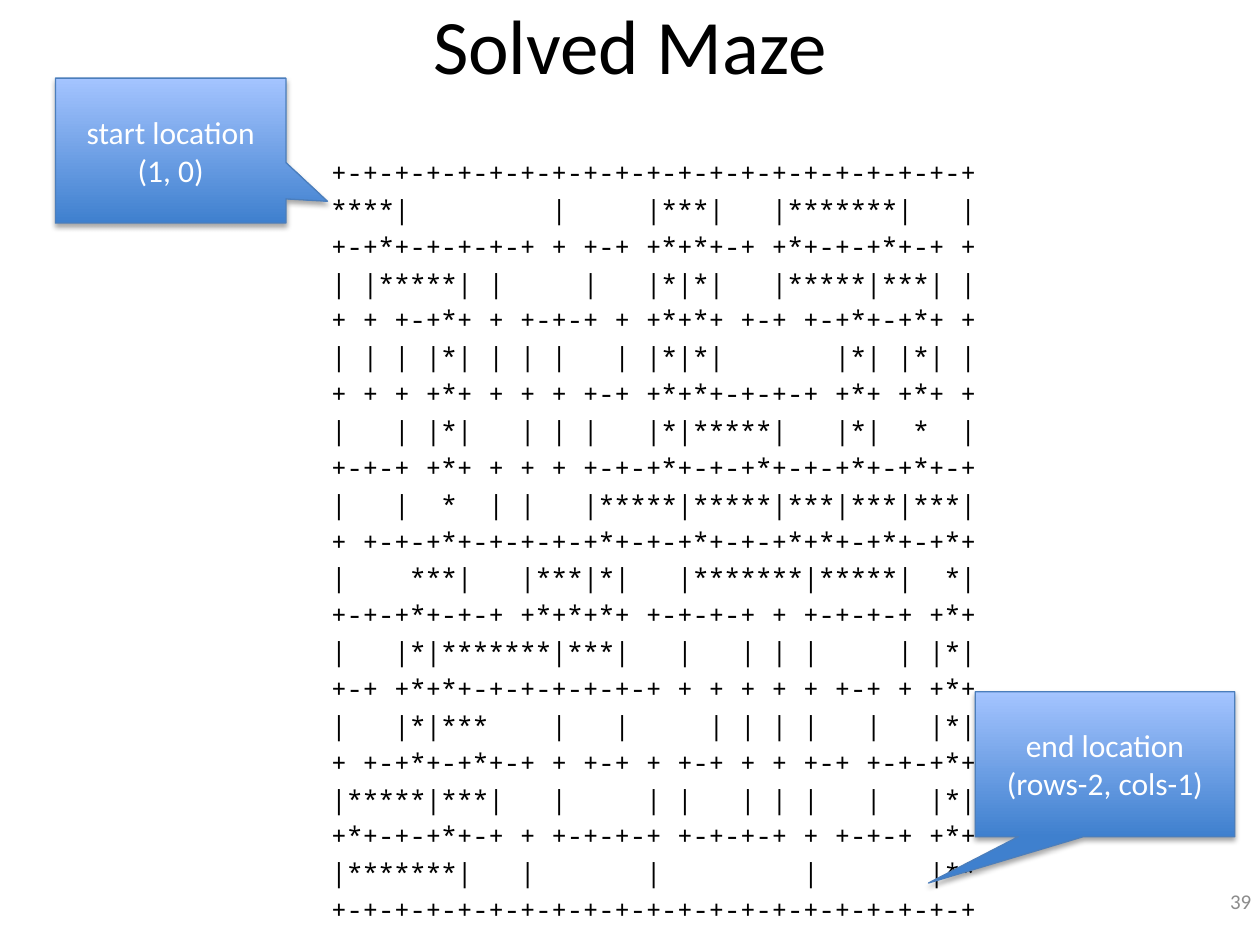
from dataclasses import dataclass

import lxml.etree
import pptx
import pptx.dml.color
import pptx.enum.shapes
import pptx.enum.text
import pptx.oxml.ns
import pptx.slide
import pptx.util

Pt = pptx.util.Pt
ALIGN = pptx.enum.text.PP_ALIGN
ANCHOR = pptx.enum.text.MSO_ANCHOR

COLORS = {
    "text": "000000",
    "number": "8C8C8C",
    "label": "FFFFFF",
    "bottom": "3F80CE",
    "top": "A4C4FF",
    "edge": "4B7EBC",
    "shadow": "000000",
}

BORDER = "+-" * 20 + "+"
MAZE = [
    BORDER,
    "****|         |     |***|   |*******|   |",
    "+-+*+-+-+-+-+ + +-+ +*+*+-+ +*+-+-+*+-+ +",
    "| |*****| |     |   |*|*|   |*****|***| |",
    "+ + +-+*+ + +-+-+ + +*+*+ +-+ +-+*+-+*+ +",
    "| | | |*| | | |   | |*|*|       |*| |*| |",
    "+ + + +*+ + + + +-+ +*+*+-+-+-+ +*+ +*+ +",
    "|   | |*|   | | |   |*|*****|   |*|  *  |",
    "+-+-+ +*+ + + + +-+-+*+-+-+*+-+-+*+-+*+-+",
    "|   |  *  | |   |*****|*****|***|***|***|",
    "+ +-+-+*+-+-+-+-+*+-+-+*+-+-+*+*+-+*+-+*+",
    "|    ***|   |***|*|   |*******|*****|  *|",
    "+-+-+*+-+-+ +*+*+*+ +-+-+-+ + +-+-+-+ +*+",
    "|   |*|*******|***|   |   | | |     | |*|",
    "+-+ +*+*+-+-+-+-+-+-+ + + + + + +-+ + +*+",
    "|   |*|***    |   |     | | | |   |   |*|",
    "+ +-+*+-+*+-+ + +-+ + +-+ + + +-+ +-+-+*+",
    "|*****|***|   |     | |   | | |   |   |*|",
    "+*+-+-+*+-+ + +-+-+-+ +-+-+-+ + +-+-+ +*+",
    "|*******|   |       |         |       |**",
    BORDER,
]


@dataclass(frozen=True)
class Style:
    size: float
    color: str
    font: str = "Calibri"
    align: ALIGN = ALIGN.CENTER
    anchor: ANCHOR = ANCHOR.MIDDLE
    pitch: float | None = None
    inset_top: float = 3.6


@dataclass(frozen=True)
class TextBox:
    box: tuple[float, float, float, float]
    lines: list[str]
    style: Style


@dataclass(frozen=True)
class Callout:
    box: tuple[float, float, float, float]
    tip: tuple[float, float]
    lines: list[str]


TEXTS = [
    TextBox((36, -20.16, 648, 90), ["Solved Maze"], Style(44, "text")),
    TextBox((182.16, 84.24, 540, 356.4), MAZE,
            Style(15, "text", "Noto Sans Mono", ALIGN.LEFT, ANCHOR.TOP, 21.05, 2)),
    TextBox((554.4, 500.4, 167.76, 28.8), ["39"],
            Style(12, "number", align=ALIGN.RIGHT)),
]
CALLOUTS = [
    Callout((31.68, 44.64, 131.76, 82.8), (0.68, 0.35), ["start location", "(1, 0)"]),
    Callout((557.28, 395.28, 148.32, 82.8), (-0.68, 0.82),
            ["end location", "(rows-2, cols-1)"]),
]
LABEL = Style(18, "label")


def rgb(name: str) -> pptx.dml.color.RGBColor:
    return pptx.dml.color.RGBColor.from_string(COLORS[name])


def apply(target: object, values: dict) -> None:
    for name, value in values.items():
        setattr(target, name, value)


def write(tf: pptx.text.text.TextFrame, lines: list[str], style: Style) -> None:
    apply(tf, {"word_wrap": True, "vertical_anchor": style.anchor,
               "margin_top": Pt(style.inset_top)})
    for i, line in enumerate(lines):
        p = tf.add_paragraph() if i else tf.paragraphs[0]
        apply(p, {"alignment": style.align,
                  "line_spacing": Pt(style.pitch) if style.pitch else None})
        r = p.add_run()
        apply(r, {"text": line})
        apply(r.font, {"size": Pt(style.size), "name": style.font})
        r.font.color.rgb = rgb(style.color)


def add_shadow(sp: pptx.shapes.autoshape.Shape) -> None:
    sp.shadow.inherit = False
    qn = pptx.oxml.ns.qn
    effects = sp.element.spPr.find(qn("a:effectLst"))
    shadow = lxml.etree.SubElement(
        effects, qn("a:outerShdw"), blurRad=str(Pt(3.1)), dist=str(Pt(1.8)),
        dir="5400000", rotWithShape="0")
    color = lxml.etree.SubElement(shadow, qn("a:srgbClr"), val=COLORS["shadow"])
    lxml.etree.SubElement(color, qn("a:alpha"), val="35000")


def add_text(s: pptx.slide.Slide, item: TextBox) -> None:
    sp = s.shapes.add_textbox(*map(Pt, item.box))
    write(sp.text_frame, item.lines, item.style)


def add_callout(s: pptx.slide.Slide, item: Callout) -> None:
    kind = pptx.enum.shapes.MSO_SHAPE.RECTANGULAR_CALLOUT
    sp = s.shapes.add_shape(kind, *map(Pt, item.box))
    for i, value in enumerate(item.tip):
        sp.adjustments[i] = value
    sp.fill.gradient()
    sp.fill.gradient_angle = 90
    for stop, name in zip(sp.fill.gradient_stops, ("bottom", "top")):
        stop.color.rgb = rgb(name)
    sp.line.color.rgb = rgb("edge")
    sp.line.width = Pt(0.75)
    add_shadow(sp)
    write(sp.text_frame, item.lines, LABEL)


def main() -> None:
    prs = pptx.Presentation()
    apply(prs, {"slide_width": Pt(720), "slide_height": Pt(540)})
    s = prs.slides.add_slide(prs.slide_layouts[6])
    for text in TEXTS:
        add_text(s, text)
    for callout in CALLOUTS:
        add_callout(s, callout)
    prs.save("out.pptx")


main()
